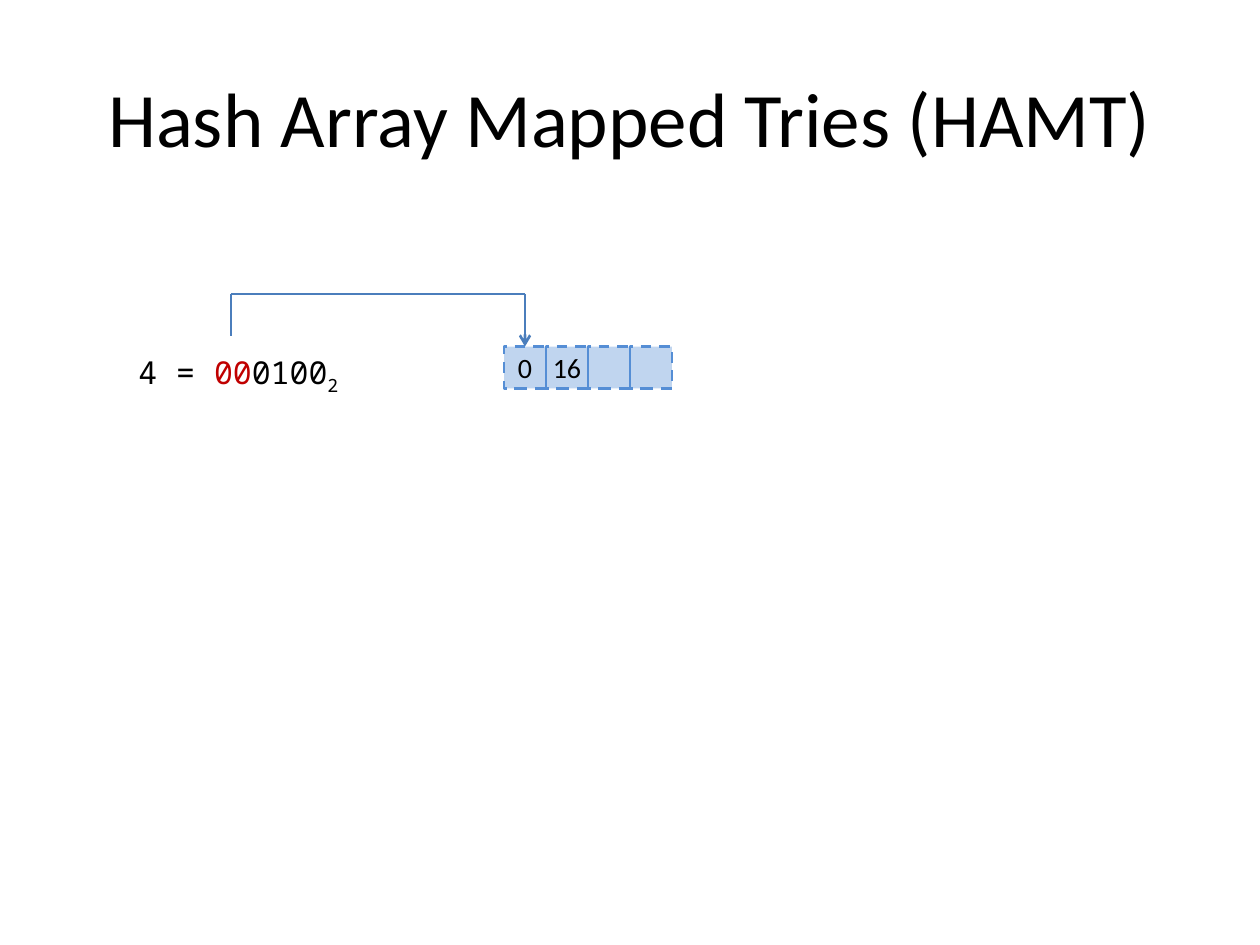
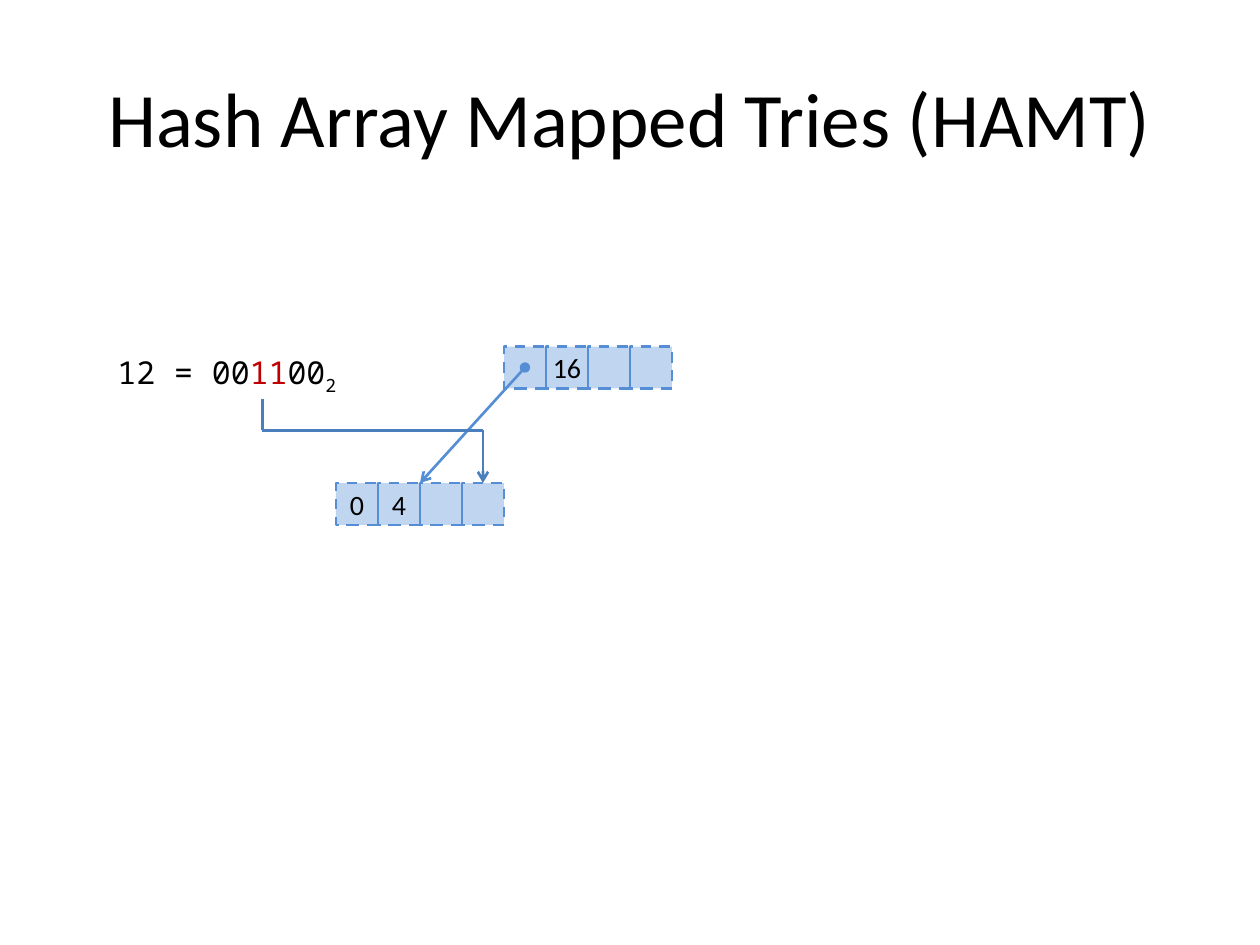
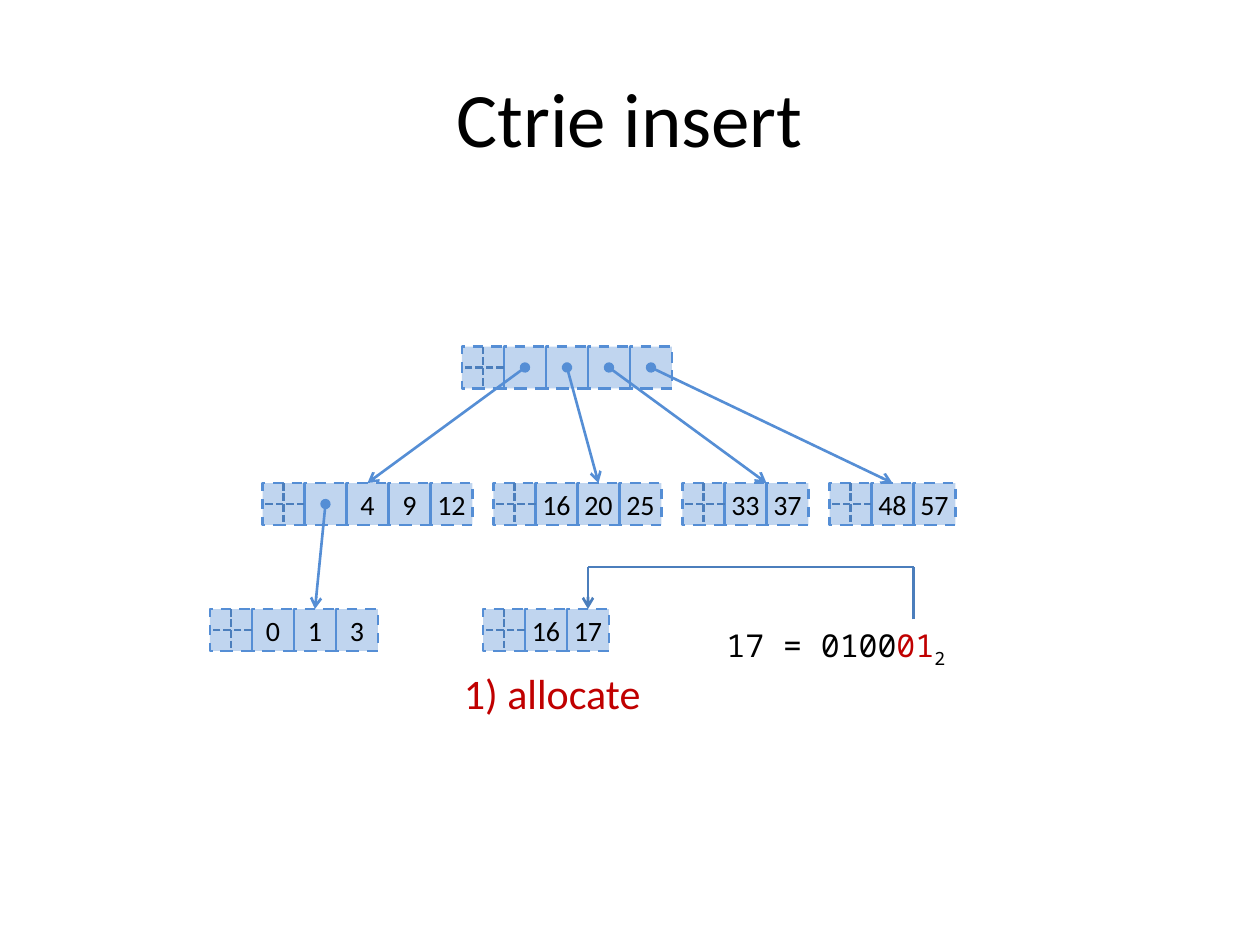
from dataclasses import dataclass
from itertools import pairwise

from pptx import Presentation, util as u
from pptx.dml.color import RGBColor
from pptx.enum import dml, shapes, text
from pptx.oxml.ns import qn


@dataclass(frozen=True)
class Theme:
    ink: str = "000000"
    marked: str = "C00000"
    cell: str = "558ED5"
    wire: str = "4B7EBC"
    cell_alpha: int = 37000
    stroke: float = 1.5
    title_size: int = 44
    note_size: int = 24
    bits_size: int = 18
    key_size: int = 16
    sans: str = "Calibri"
    mono: str = "Noto Sans Mono"


THEME = Theme()
UNITS_PER_INCH = 12
CELL = 4
ROOT_ROW, CHILD_ROW, LEAF_ROW = 33, 46, 58


def grid(*units):
    return [u.Inches(unit / UNITS_PER_INCH) for unit in units]


def apply(target, formats):
    for name, value in formats.items():
        setattr(target, name, value)


def style_run(run, size, color=THEME.ink, face=THEME.sans):
    apply(run.font, {"size": u.Pt(size), "name": face})
    run.font.color.rgb = RGBColor.from_string(color)


def style_line(line, color, dash=None):
    line.color.rgb = RGBColor.from_string(color)
    apply(line, {"width": u.Pt(THEME.stroke), "dash_style": dash})


def titled_slide(deck, heading):
    slide = deck.slides.add_slide(deck.slide_layouts[5])
    title = slide.shapes.title
    places = ("left", "top", "width", "height")
    apply(title, dict(zip(places, grid(6, 3.6, 108, 15))))
    title.text_frame.text = heading
    title.text_frame.vertical_anchor = text.MSO_ANCHOR.MIDDLE
    paragraph = title.text_frame.paragraphs[0]
    paragraph.alignment = text.PP_ALIGN.CENTER
    style_run(paragraph.runs[0], THEME.title_size)
    return slide


def add_cell(canvas, col, row, key=""):
    cell = canvas.add_shape(shapes.MSO_SHAPE.RECTANGLE, *grid(col, row, CELL, CELL))
    cell.shadow.inherit = False
    cell.fill.solid()
    cell.fill.fore_color.rgb = RGBColor.from_string(THEME.cell)
    tint = cell.fill._xPr.find(qn("a:solidFill"))[0]
    tint.makeelement(qn("a:alpha"))
    alpha = tint.makeelement(qn("a:alpha"), {"val": str(THEME.cell_alpha)})
    tint.append(alpha)
    style_line(cell.line, THEME.cell, dml.MSO_LINE.DASH)
    if key:
        apply(cell.text_frame, {"word_wrap": False, "vertical_anchor": text.MSO_ANCHOR.MIDDLE})
        paragraph = cell.text_frame.paragraphs[0]
        paragraph.alignment = text.PP_ALIGN.CENTER
        run = paragraph.add_run()
        run.text = key
        style_run(run, THEME.key_size)


def add_segment(canvas, start, end, color=THEME.wire, dash=None, **ends):
    segment = canvas.add_connector(shapes.MSO_CONNECTOR.STRAIGHT, *grid(*start, *end))
    style_line(segment.line, color, dash)
    stroke = segment.line._get_or_add_ln()
    for tag in ("headEnd", "tailEnd"):
        if tag in ends:
            stroke.append(stroke.makeelement(qn(f"a:{tag}"), {"type": ends[tag]}))
    properties = segment._element.spPr
    properties.append(properties.makeelement(qn("a:effectLst")))


def add_bitmap(slide, col, row):
    bitmap = slide.shapes.add_group_shape().shapes
    middle = CELL / 2
    add_cell(bitmap, col, row)
    for start, end in (
        ((col + middle, row), (col + middle, row + CELL)),
        ((col + CELL, row + middle), (col, row + middle)),
    ):
        add_segment(bitmap, start, end, dash=dml.MSO_LINE.SQUARE_DOT)


def add_node(slide, col, row, keys, bitmap=False):
    for index, key in enumerate(keys):
        add_cell(slide.shapes, col + index * CELL, row, key)
    if bitmap:
        add_bitmap(slide, col - CELL, row)


def add_pointer(slide, col, row, target):
    center = (col + CELL / 2, row + CELL / 2)
    add_segment(slide.shapes, center, target, THEME.cell, headEnd="oval", tailEnd="arrow")


def add_lookup(slide, *corners):
    *plain, last = pairwise(corners)
    for start, end in plain:
        add_segment(slide.shapes, start, end)
    add_segment(slide.shapes, *last, tailEnd="arrow")


def add_label(slide, place, parts, size, face, wrap=True):
    frame = slide.shapes.add_textbox(*grid(*place)).text_frame
    apply(frame, {"word_wrap": wrap, "auto_size": text.MSO_AUTO_SIZE.SHAPE_TO_FIT_TEXT})
    for words, color in parts:
        run = frame.paragraphs[0].add_run()
        run.text = words
        style_run(run, size, color, face)
    return run


def add_bits(slide, place, before, marked, after=""):
    parts = [(before, THEME.ink), (marked, THEME.marked), (after, THEME.ink), ("2", THEME.ink)]
    parts = [part for part in parts if part[0]]
    base = add_label(slide, place, parts, THEME.bits_size, THEME.mono)
    base.font._element.set("baseline", "-25000")


def hamt_root_slide(deck):
    slide = titled_slide(deck, "Hash Array Mapped Tries (HAMT)")
    add_node(slide, 48, ROOT_ROW, ("0", "16", "", ""))
    add_bits(slide, (12, ROOT_ROW, 26, 4.8), "4 = ", "00", "0100")
    add_lookup(slide, (22, 32), (22, 28), (50, 28), (50, ROOT_ROW))


def hamt_child_slide(deck):
    slide = titled_slide(deck, "Hash Array Mapped Tries (HAMT)")
    add_node(slide, 48, ROOT_ROW, ("", "16", "", ""))
    add_node(slide, 32, CHILD_ROW, ("0", "4", "", ""))
    add_pointer(slide, 48, ROOT_ROW, (40, CHILD_ROW))
    add_bits(slide, (10, ROOT_ROW, 26, 4.8), "12 = 00", "11", "00")
    add_lookup(slide, (25, 38), (25, 41), (46, 41), (46, CHILD_ROW))


def ctrie_insert_slide(deck):
    slide = titled_slide(deck, "Ctrie insert")
    for col, row, keys in (
        (48, ROOT_ROW, ("", "", "", "")),
        (29, CHILD_ROW, ("", "4", "9", "12")),
        (51, CHILD_ROW, ("16", "20", "25")),
        (69, CHILD_ROW, ("33", "37")),
        (83, CHILD_ROW, ("48", "57")),
        (24, LEAF_ROW, ("0", "1", "3")),
        (50, LEAF_ROW, ("16", "17")),
    ):
        add_node(slide, col, row, keys, bitmap=True)
    for index, child_col in enumerate((35, 57, 73, 85)):
        add_pointer(slide, 48 + index * CELL, ROOT_ROW, (child_col, CHILD_ROW))
    add_pointer(slide, 29, CHILD_ROW, (30, LEAF_ROW))
    add_bits(slide, (68, 59, 28, 4.8), "17 = 0100", "01")
    add_label(slide, (43, 63, 19.5, 6.1), [("1) allocate", THEME.marked)],
              THEME.note_size, THEME.sans, wrap=False)
    add_lookup(slide, (87, 59), (87, 54), (56, 54), (56, LEAF_ROW))


def main():
    deck = Presentation()
    apply(deck, {"slide_width": u.Inches(10), "slide_height": u.Inches(7.5)})
    for build in (hamt_root_slide, hamt_child_slide, ctrie_insert_slide):
        build(deck)
    deck.save("out.pptx")


if __name__ == "__main__":
    main()
